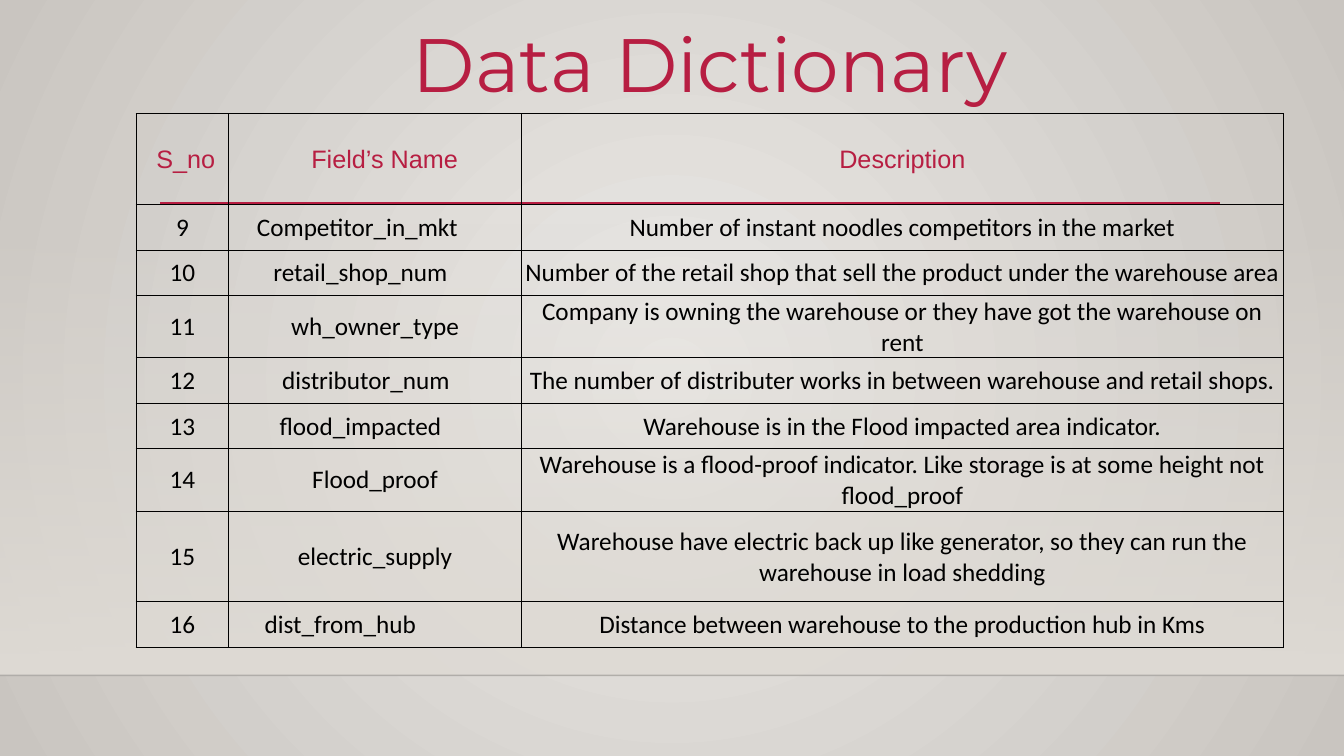
from lxml import etree
from pptx import Presentation
from pptx.dml.color import RGBColor
from pptx.enum import shapes, text
from pptx.oxml import parse_xml
from pptx.oxml.ns import qn
from pptx.util import Inches, Pt

NS = 'xmlns:a="http://schemas.openxmlformats.org/drawingml/2006/main"'
RED, BLACK, SAND = "B71E42", "000000", "DFDBD5"
WIDTHS = [0.92, 2.9, 7.56]
HEADS = ["S_no", "Field’s Name", "Description"]
FIRST = 9
# Field name, right inset that shifts it left, description
FIELDS = [
    ("Competitor_in_mkt", 0.36, "Number of instant noodles competitors in the market"),
    ("retail_shop_num", 0.3,
     "Number of the retail shop that sell the product under the warehouse area"),
    ("wh_owner_type", 0.01,
     "Company is owning the warehouse or they have got the warehouse on rent"),
    ("distributor_num", 0.19,
     "The number of distributer works in between warehouse and retail shops."),
    ("flood_impacted", 0.3, "Warehouse is in the Flood impacted area indicator."),
    ("Flood_proof", 0.01,
     "Warehouse is a flood-proof indicator. Like storage is at some height not flood_proof"),
    ("electric_supply", 0.01,
     "Warehouse have electric back up like generator, so they can run the "
     "warehouse in load shedding"),
    ("dist_from_hub", 0.7, "Distance between warehouse to the production hub in Kms"),
]


def color(code):
    return RGBColor.from_string(code)


def style(para, font, size, code, align=text.PP_ALIGN.CENTER):
    para.alignment = align
    para.font.name = font
    para.font.size = Pt(size)
    para.font.color.rgb = color(code)


def blend(fill, root, stops, shade):
    """Fill with a gradient of (position, colour, opacity) stops, in percent."""
    fill.gradient()
    old = next(root.iter(qn("a:gradFill")))
    marks = "".join(
        f'<a:gs pos="{pos * 1000}"><a:srgbClr val="{code}">'
        f'<a:alpha val="{alpha * 1000}"/></a:srgbClr></a:gs>'
        for pos, code, alpha in stops)
    new = parse_xml(f'<a:gradFill {NS} rotWithShape="1"><a:gsLst>{marks}</a:gsLst>'
                    f'{shade}</a:gradFill>')
    old.getparent().replace(old, new)


def add_rule(slide, left, right, y, code, width, alpha=100):
    rule = slide.shapes.add_connector(
        shapes.MSO_CONNECTOR.STRAIGHT, Inches(left), Inches(y), Inches(right), Inches(y))
    rule.line.color.rgb = color(code)
    rule.line.width = Pt(width)
    props = rule._element.spPr
    etree.SubElement(props, qn("a:effectLst"))
    if alpha < 100:
        tint = next(props.iter(qn("a:srgbClr")))
        etree.SubElement(tint, qn("a:alpha"), val=str(alpha * 1000))


def add_back(slide):
    blend(slide.background.fill, slide._element,
          [(0, "EBE9E6", 100), (100, "C9C5C0", 100)],
          '<a:path path="circle"><a:fillToRect l="50000" t="50000" r="50000" b="50000"/>'
          '</a:path>')
    wall = slide.shapes.add_shape(shapes.MSO_SHAPE.RECTANGLE, 0, Inches(2.21),
                                  Inches(13.33), Inches(4.49))
    wall.shadow.inherit = False
    wall.line.fill.background()
    blend(wall.fill, wall._element, [(0, SAND, 0), (100, SAND, 100)],
          '<a:lin ang="5400000" scaled="0"/>')


def add_title(slide, words):
    box = slide.shapes.add_textbox(Inches(3.71), Inches(0.12), Inches(6.67), Inches(1.01))
    frame = box.text_frame
    frame.word_wrap = True
    frame.text = words
    style(frame.paragraphs[0], "Montserrat", 54, RED)


def set_cell(cell, words, left=0.01, right=0.01):
    cell.text = words
    cell.vertical_anchor = text.MSO_ANCHOR.MIDDLE
    cell.margin_left, cell.margin_right = Inches(left), Inches(right)
    cell.margin_top, cell.margin_bottom = Inches(0.01), 0
    props = cell._tc.get_or_add_tcPr()
    for side in ("lnL", "lnR", "lnT", "lnB"):
        props.append(parse_xml(
            f'<a:{side} {NS} w="{Pt(0.75)}"><a:solidFill><a:srgbClr val="{BLACK}"/>'
            f'</a:solidFill></a:{side}>'))
    cell.fill.background()
    return cell.text_frame.paragraphs[0]


def add_grid(slide):
    heights = [0.9 if row in (0, 7) else 0.45 for row in range(len(FIELDS) + 1)]
    grid = slide.shapes.add_table(
        len(heights), len(WIDTHS), Inches(1.35), Inches(1.13),
        Inches(sum(WIDTHS)), Inches(sum(heights))).table
    grid.first_row = grid.horz_banding = False
    for col, width in zip(grid.columns, WIDTHS):
        col.width = Inches(width)
    for row, height in zip(grid.rows, heights):
        row.height = Inches(height)
    # Header row
    aligns = [text.PP_ALIGN.LEFT, text.PP_ALIGN.CENTER, text.PP_ALIGN.CENTER]
    for col, (head, left, align) in enumerate(zip(HEADS, [0.2, 0.2, 0.01], aligns)):
        style(set_cell(grid.cell(0, col), head, left), "Arial", 18, RED, align)
    # Field rows
    for row, (name, inset, about) in enumerate(FIELDS, 1):
        cells = [(str(FIRST + row - 1), 0.01), (name, inset), (about, 0.01)]
        for col, (words, right) in enumerate(cells):
            para = set_cell(grid.cell(row, col), words, right=right)
            style(para, "Calibri", 18, BLACK)


def main():
    deck = Presentation()
    deck.slide_width, deck.slide_height = Inches(13.33), Inches(7.5)
    slide = deck.slides.add_slide(deck.slide_layouts[6])
    # Backdrop and rules
    add_back(slide)
    add_rule(slide, 0, 13.33, 6.7, "000001", 1, alpha=20)
    add_rule(slide, 1.59, 12.1, 2.02, RED, 2.5)
    # Content
    add_grid(slide)
    add_title(slide, "Data Dictionary")
    deck.save("out.pptx")


if __name__ == "__main__":
    main()
